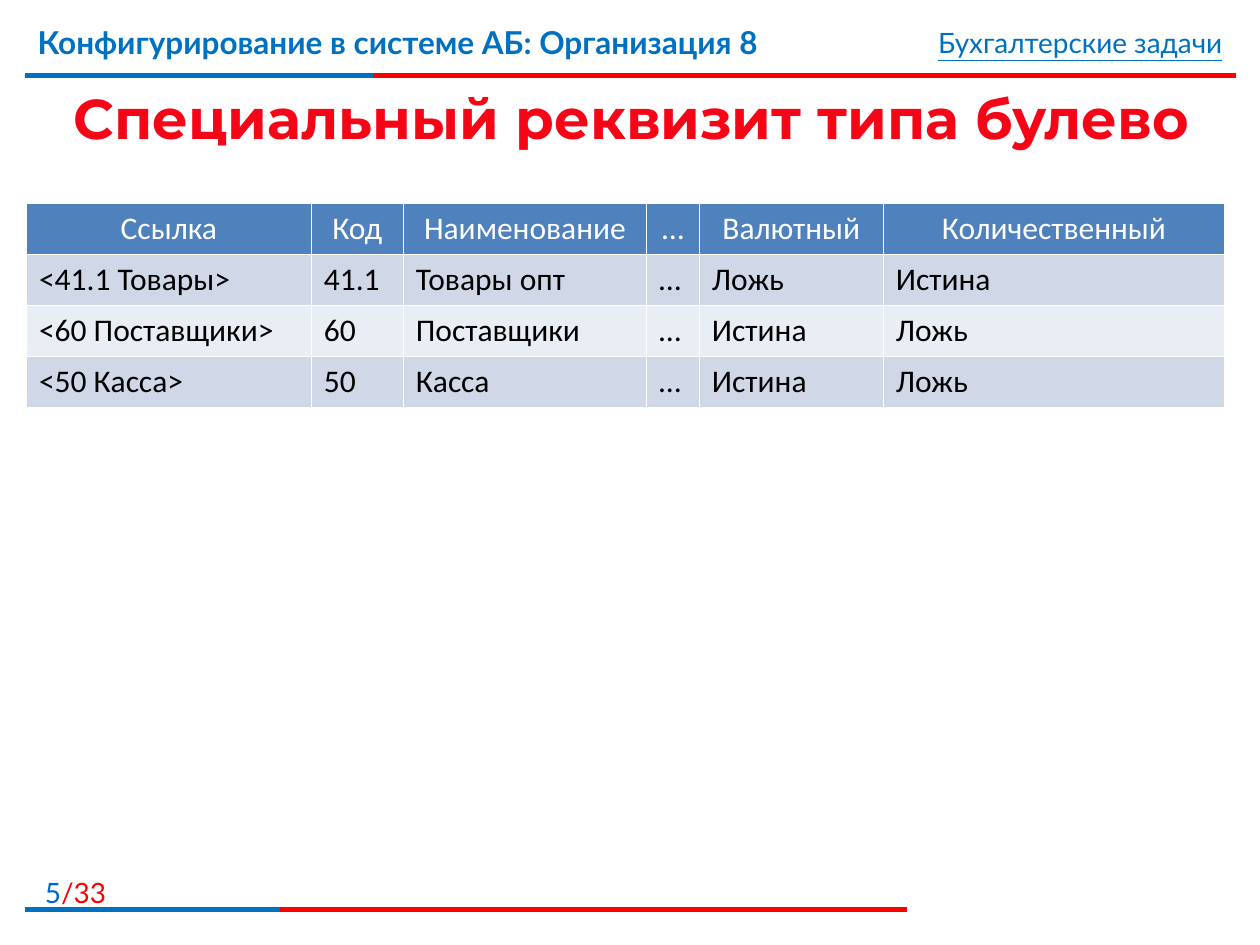
from lxml import etree
from pptx import Presentation
from pptx.dml.color import RGBColor
from pptx.enum.shapes import MSO_CONNECTOR
from pptx.enum.text import MSO_ANCHOR, PP_ALIGN
from pptx.oxml.ns import qn
from pptx.util import Pt

LEFT, CENTER, RIGHT = PP_ALIGN.LEFT, PP_ALIGN.CENTER, PP_ALIGN.RIGHT
TOP, MIDDLE = MSO_ANCHOR.TOP, MSO_ANCHOR.MIDDLE
STRAIGHT = MSO_CONNECTOR.STRAIGHT

WHITE = RGBColor(0xFF, 0xFF, 0xFF)
BLACK = RGBColor(0, 0, 0)
RED = RGBColor(0xFF, 0, 0)
TITLE_RED = RGBColor(0xF5, 0x05, 0x16)
BLUE = RGBColor(0, 0x70, 0xC0)
PAGE_BLUE = RGBColor(0, 0x66, 0xCC)
HEAD_FILL = RGBColor(0x4F, 0x81, 0xBD)
BANDS = (RGBColor(0xD0, 0xD8, 0xE8), RGBColor(0xE9, 0xED, 0xF4))

HEADER = ["Ссылка", "Код", "Наименование", "…", "Валютный", "Количественный"]
ACCOUNTS = [
    ["<41.1 Товары>", "41.1", "Товары опт", "…", "Ложь", "Истина"],
    ["<60 Поставщики>", "60", "Поставщики", "…", "Истина", "Ложь"],
    ["<50 Касса>", "50", "Касса", "…", "Истина", "Ложь"],
]
COL_WIDTHS = [162.8, 52.6, 139, 30.2, 105.1, 195.1]


class Deck:
    """Style of the deck and the slide being drawn."""

    body_font = "Lato"
    title_font = "Montserrat"
    table_font = "Calibri"

    def __init__(self, prs):
        self.slide = prs.slides.add_slide(prs.slide_layouts[6])

    def line(self, x1, x2, y, color):
        sp = self.slide.shapes.add_connector(STRAIGHT, Pt(x1), Pt(y), Pt(x2), Pt(y))
        sp.line.color.rgb = color
        sp.line.width = Pt(3)
        etree.SubElement(sp._element.spPr, qn("a:effectLst"))

    def rule(self, x, y, split, end):
        self.line(x, end, y, RED)
        self.line(x, split, y, BLUE)

    def add_runs(self, p, runs, align=LEFT):
        """Add (text, colour, format) runs to a paragraph."""
        p.alignment = align
        for text, color, fmt in runs:
            r = p.add_run()
            r.text = text
            for name, value in fmt.items():
                setattr(r.font, name, value)
            r.font.color.rgb = color

    def text(self, box, runs, align=LEFT, anchor=TOP):
        sp = self.slide.shapes.add_textbox(*map(Pt, box))
        tf = sp.text_frame
        tf.word_wrap = True
        tf.vertical_anchor = anchor
        self.add_runs(tf.paragraphs[0], runs, align)

    def border(self, cell):
        tcPr = cell._tc.get_or_add_tcPr()
        for tag in ("a:lnL", "a:lnR", "a:lnT", "a:lnB"):
            ln = etree.SubElement(tcPr, qn(tag), w=str(Pt(1)))
            fill = etree.SubElement(ln, qn("a:solidFill"))
            etree.SubElement(fill, qn("a:srgbClr"), val=str(WHITE))

    def table(self, x, y, widths, row_height, rows):
        sp = self.slide.shapes.add_table(
            len(rows), len(widths), Pt(x), Pt(y),
            Pt(sum(widths)), Pt(row_height * len(rows)))
        table = sp.table
        for col, width in zip(table.columns, widths):
            col.width = Pt(width)
        fmt = {"name": self.table_font, "size": Pt(18)}
        for i, row in enumerate(rows):
            table.rows[i].height = Pt(row_height)
            head = i == 0
            for j, text in enumerate(row):
                cell = table.cell(i, j)
                self.border(cell)
                cell.fill.solid()
                cell.fill.fore_color.rgb = HEAD_FILL if head else BANDS[(i - 1) % 2]
                self.add_runs(cell.text_frame.paragraphs[0],
                              [(text, WHITE if head else BLACK, fmt)],
                              CENTER if head else LEFT)


def main():
    prs = Presentation()
    prs.slide_width, prs.slide_height = Pt(720), Pt(540)
    deck = Deck(prs)
    small = {"name": deck.body_font, "size": Pt(16)}

    # Header and footer
    deck.rule(14.4, 43.2, 213, 706.3)
    deck.text((0, 496.8, 67.7, 23),
              [("5", PAGE_BLUE, small), ("/33", RED, small)], RIGHT)
    deck.rule(14.4, 519.8, 159.8, 518.4)
    deck.text((14.4, 9.4, 532.8, 44.6),
              [("Конфигурирование в системе АБ: Организация 8", BLUE,
                {"name": deck.body_font, "size": Pt(18), "bold": True})])
    deck.text((427.7, 10.8, 277.9, 26.6),
              [("Бухгалтерские задачи", BLUE, {**small, "underline": True})], RIGHT)

    # Title
    deck.text((15.1, 45.4, 691.9, 43.2),
              [("Специальный реквизит типа булево", TITLE_RED,
                {"name": deck.title_font, "size": Pt(32), "bold": True})],
              CENTER, MIDDLE)

    # Chart of accounts
    deck.table(15.1, 116.2, COL_WIDTHS, 29.2, [HEADER] + ACCOUNTS)

    prs.save("out.pptx")


if __name__ == "__main__":
    main()
